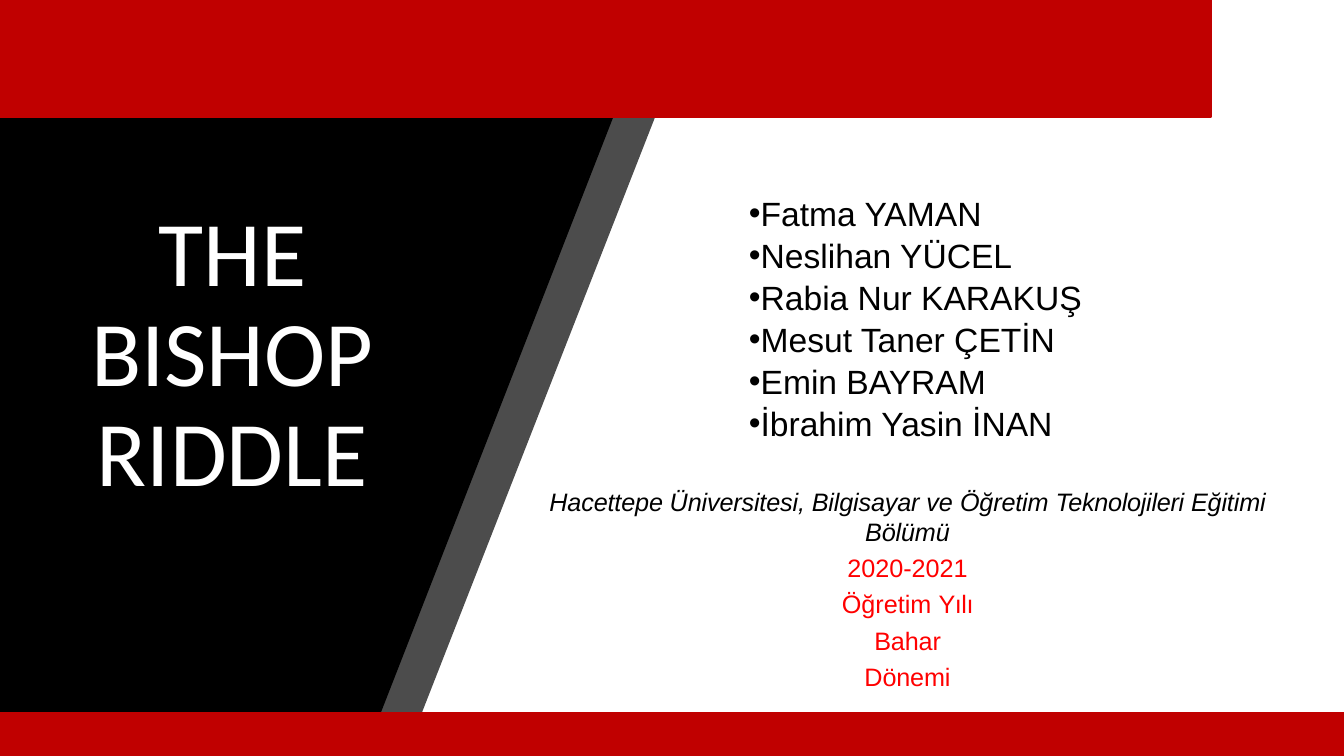
from dataclasses import dataclass

from lxml.etree import SubElement
from pptx import Presentation
from pptx.dml.color import RGBColor
from pptx.enum.shapes import MSO_SHAPE
from pptx.enum.text import MSO_ANCHOR, PP_ALIGN
from pptx.oxml.ns import qn
from pptx.util import Pt


@dataclass(frozen=True)
class Theme:
    black: RGBColor = RGBColor(0, 0, 0)
    white: RGBColor = RGBColor(255, 255, 255)
    band: RGBColor = RGBColor(192, 0, 0)
    term: RGBColor = RGBColor(255, 0, 0)
    title_size: int = 66
    name_size: int = 24
    course_size: int = 18
    title_font: str = "Calibri"
    body_font: str = "Arial"


theme = Theme()
PX = 914400 / 100.8


def add_text_box(left, top, width, height, anchor):
    shape = slide.shapes.add_textbox(*(round(v * PX) for v in (left, top, width, height)))
    frame = shape.text_frame
    frame.word_wrap = True
    frame.vertical_anchor = anchor
    return frame


def add_run(paragraph, text, size, font, color, italic=False, spacing=0):
    run = paragraph.add_run()
    run.text = text
    run.font.size = Pt(size)
    run.font.name = font
    run.font.color.rgb = color
    run.font.italic = italic
    if spacing:
        run.font._element.set("spc", str(spacing))


presentation = Presentation()
presentation.slide_width = round(1344 * PX)
presentation.slide_height = round(756 * PX)
slide = presentation.slides.add_slide(presentation.slide_layouts[6])

for top_edge, bottom_edge, opacity in [(701, 405, 70), (659, 364, 100)]:
    builder = slide.shapes.build_freeform(top_edge, 0, scale=PX)
    builder.add_line_segments([(0, 0), (0, 756), (bottom_edge, 756)], close=True)
    panel = builder.convert_to_shape()
    panel.shadow.inherit = False
    panel.fill.solid()
    panel.fill.fore_color.rgb = theme.black
    panel.line.fill.background()
    if opacity < 100:
        color = panel._element.spPr.find(qn("a:solidFill"))[0]
        SubElement(color, qn("a:alpha")).set("val", str(opacity * 1000))

title_frame = add_text_box(38, 192, 389, 329, MSO_ANCHOR.MIDDLE)
title = title_frame.paragraphs[0]
title.alignment = PP_ALIGN.CENTER
title.line_spacing = 0.9
title.space_after = Pt(6)
add_run(title, "THE BISHOP RIDDLE", theme.title_size, theme.title_font, theme.white)

names = [
    "Fatma YAMAN",
    "Neslihan YÜCEL",
    "Rabia Nur KARAKUŞ",
    "Mesut Taner ÇETİN",
    "Emin BAYRAM",
    "İbrahim Yasin İNAN",
]
names_frame = add_text_box(739, 211, 430, 262, MSO_ANCHOR.MIDDLE)
names_frame.margin_bottom = round(46 * PX)
for index, name in enumerate(names):
    paragraph = names_frame.add_paragraph() if index else names_frame.paragraphs[0]
    paragraph.line_spacing = 0.83
    paragraph.space_after = Pt(6)
    properties = paragraph._p.get_or_add_pPr()
    properties.set("marL", "0")
    properties.set("indent", "-228600")
    SubElement(properties, qn("a:buFont")).set("typeface", theme.body_font)
    SubElement(properties, qn("a:buChar")).set("char", "•")
    add_run(paragraph, name, theme.name_size, theme.body_font, theme.black)

for left, top, width, height in [(0, 713, 1344, 43), (0, 0, 1211, 117)]:
    band = slide.shapes.add_shape(
        MSO_SHAPE.RECTANGLE, *(round(v * PX) for v in (left, top, width, height))
    )
    band.shadow.inherit = False
    band.fill.solid()
    band.fill.fore_color.rgb = theme.band
    band.line.color.rgb = theme.band
    band.line.width = Pt(1)

course_frame = add_text_box(510, 486, 795, 215, MSO_ANCHOR.TOP)
course_frame.margin_top = course_frame.margin_bottom = 0
department = course_frame.paragraphs[0]
department.alignment = PP_ALIGN.CENTER
department.space_before = Pt(5.2)
for text, spacing in [
    ("Hacettepe Üniversitesi, Bilgisayar ", -10),
    ("ve ", 0),
    ("Öğretim ", -10),
    ("Teknolojileri ", -20),
    ("Eğitimi Bölümü", -10),
]:
    add_run(department, text, theme.course_size, theme.body_font, theme.black, True, spacing)

term = course_frame.add_paragraph()
term.alignment = PP_ALIGN.CENTER
term.line_spacing = 1.2
for side in ("marL", "marR"):
    term._p.get_or_add_pPr().set(side, str(round(312 * PX)))
for text, spacing in [("2020-2021 Öğretim ", 0), ("Yılı ", -30), ("Bahar Dönemi", -10)]:
    add_run(term, text, theme.course_size, theme.body_font, theme.term, spacing=spacing)

presentation.save("out.pptx")
